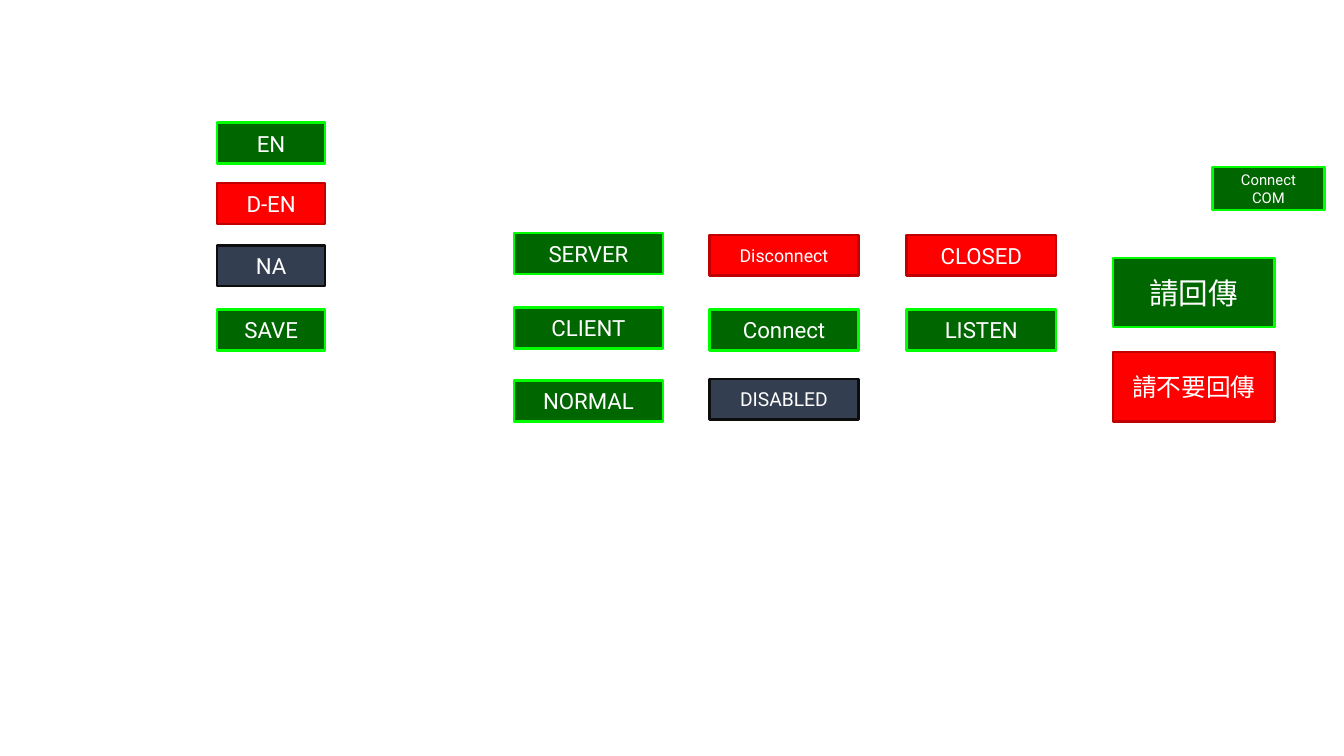
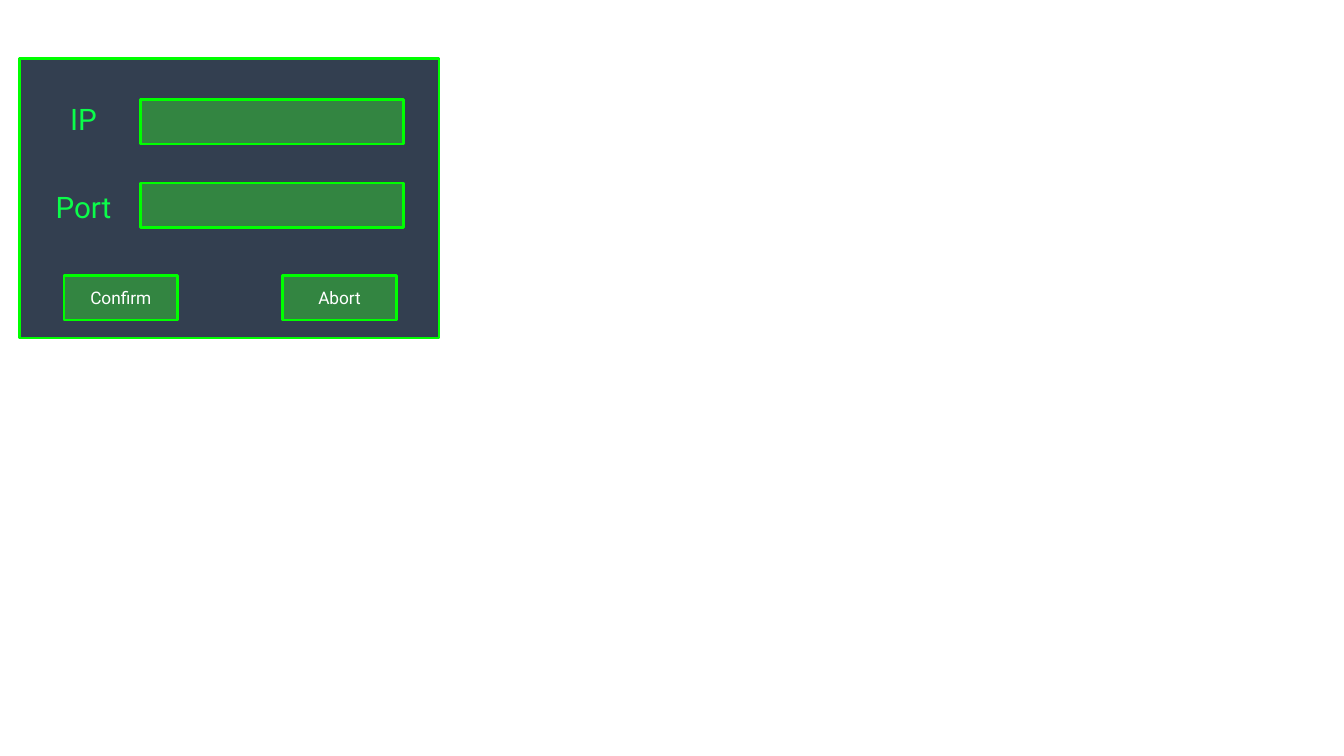
from dataclasses import dataclass

from lxml import etree
from pptx import Presentation
from pptx.dml.color import RGBColor
from pptx.enum.shapes import MSO_SHAPE
from pptx.enum.text import MSO_ANCHOR, PP_ALIGN
from pptx.oxml.ns import qn
from pptx.util import Inches, Pt

RECTANGLE = MSO_SHAPE.RECTANGLE
MIDDLE = MSO_ANCHOR.MIDDLE
CENTER = PP_ALIGN.CENTER
BLANK_LAYOUT = 6


@dataclass(frozen=True)
class Look:
    fill: str
    line: str
    opacity: int = 100


@dataclass(frozen=True)
class Theme:
    on: Look = Look("006600", "00FF00")
    off: Look = Look("FF0000", "C00000")
    idle: Look = Look("333F50", "0D0D0D")
    panel: Look = Look("333F50", "00FF00")
    glass: Look = Look("33CC33", "00FF00", 50)
    text: str = "FFFFFF"
    label: str = "0BFD4A"
    latin: str = "Roboto"
    cjk: str = "Noto Sans CJK SC"
    line_width: float = 1
    heading: float = 12
    prompt: float = 10
    button: float = 9
    state: float = 7.8
    action: float = 7.2
    dialog: float = 7
    small: float = 6


THEME = Theme()

BUTTON_COLUMNS = [
    (3.99, 0.84, 0.23, THEME.latin, [
        (1.32, "Disconnect", THEME.off, THEME.action),
        (1.74, "Connect", THEME.on, THEME.button),
        (2.13, "DISABLED", THEME.idle, THEME.state),
    ]),
    (2.89, 0.84, 0.23, THEME.latin, [
        (1.31, "SERVER", THEME.on, THEME.button),
        (1.73, "CLIENT", THEME.on, THEME.button),
        (2.14, "NORMAL", THEME.on, THEME.button),
    ]),
    (5.1, 0.84, 0.23, THEME.latin, [
        (1.74, "LISTEN", THEME.on, THEME.button),
        (1.32, "CLOSED", THEME.off, THEME.button),
    ]),
    (1.22, 0.61, 0.23, THEME.latin, [
        (0.69, "EN", THEME.on, THEME.button),
        (1.03, "D-EN", THEME.off, THEME.button),
        (1.38, "NA", THEME.idle, THEME.button),
        (1.74, "SAVE", THEME.on, THEME.button),
    ]),
    (6.82, 0.63, 0.24, THEME.latin, [
        (0.94, "Connect\nCOM", THEME.on, THEME.small),
    ]),
    (6.26, 0.91, 0.39, THEME.cjk, [
        (1.45, "請回傳", THEME.on, THEME.heading),
        (1.98, "請不要回傳", THEME.off, THEME.prompt),
    ]),
]

PANEL = (0.11, 0.33, 2.36, 1.57)
DIALOG_BUTTONS = [("Confirm", 0.36), ("Abort", 1.59)]
DIALOG_BUTTON_TOP, DIALOG_BUTTON_WIDTH = 1.55, 0.64
DIALOG_FIELDS = [("IP", 0.56, 0.52), ("Port", 1.03, 1.01)]
FIELD_LEFT, FIELD_WIDTH, CONTROL_HEIGHT = 0.79, 1.48, 0.25
LABEL_LEFT, LABEL_WIDTH, LABEL_HEIGHT = 0.15, 0.64, 0.3


def write(shape, text, size, color=THEME.text, font=THEME.latin):
    frame = shape.text_frame
    frame.word_wrap = True
    frame.vertical_anchor = MIDDLE
    frame.margin_left = frame.margin_right = 0
    frame.margin_top = frame.margin_bottom = 0
    for index, words in enumerate(text.split("\n")):
        paragraph = frame.add_paragraph() if index else frame.paragraphs[0]
        paragraph.alignment = CENTER
        run = paragraph.add_run()
        run.text = words
        run.font.size = Pt(size)
        run.font.color.rgb = RGBColor.from_string(color)
        run.font.name = font
        east_asian = etree.SubElement(run.font._element, qn("a:ea"))
        east_asian.set("typeface", font)


def add_box(slide, bounds, look):
    box = slide.shapes.add_shape(RECTANGLE, *map(Inches, bounds))
    box.shadow.inherit = False
    box.fill.solid()
    box.fill.fore_color.rgb = RGBColor.from_string(look.fill)
    box.line.color.rgb = RGBColor.from_string(look.line)
    box.line.width = Pt(THEME.line_width)
    if look.opacity < 100:
        color = box._element.spPr.find(qn("a:solidFill"))[0]
        alpha = etree.SubElement(color, qn("a:alpha"))
        alpha.set("val", str(look.opacity * 1000))
    return box


def build_buttons(slide):
    for left, width, height, font, buttons in BUTTON_COLUMNS:
        for top, caption, look, size in buttons:
            button = add_box(slide, (left, top, width, height), look)
            write(button, caption, size, font=font)


def build_dialog(slide):
    add_box(slide, PANEL, THEME.panel)
    for caption, left in DIALOG_BUTTONS:
        bounds = (left, DIALOG_BUTTON_TOP, DIALOG_BUTTON_WIDTH, CONTROL_HEIGHT)
        write(add_box(slide, bounds, THEME.glass), caption, THEME.dialog)
    for name, field_top, label_top in DIALOG_FIELDS:
        add_box(slide, (FIELD_LEFT, field_top, FIELD_WIDTH, CONTROL_HEIGHT), THEME.glass)
        bounds = (LABEL_LEFT, label_top, LABEL_WIDTH, LABEL_HEIGHT)
        label = slide.shapes.add_textbox(*map(Inches, bounds))
        write(label, name, THEME.heading, THEME.label)


def main():
    deck = Presentation()
    deck.slide_width, deck.slide_height = Inches(7.56), Inches(4.25)
    for build in (build_buttons, build_dialog):
        build(deck.slides.add_slide(deck.slide_layouts[BLANK_LAYOUT]))
    deck.save("out.pptx")


if __name__ == "__main__":
    main()
